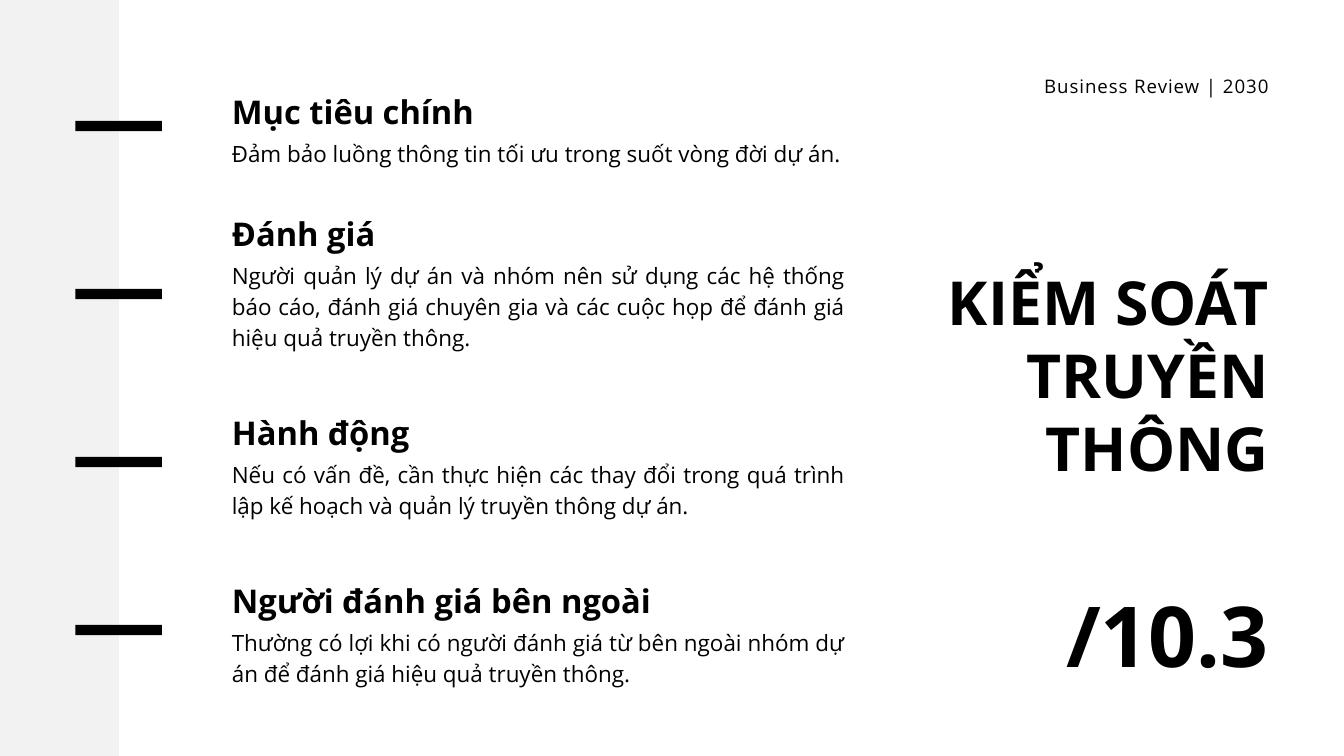
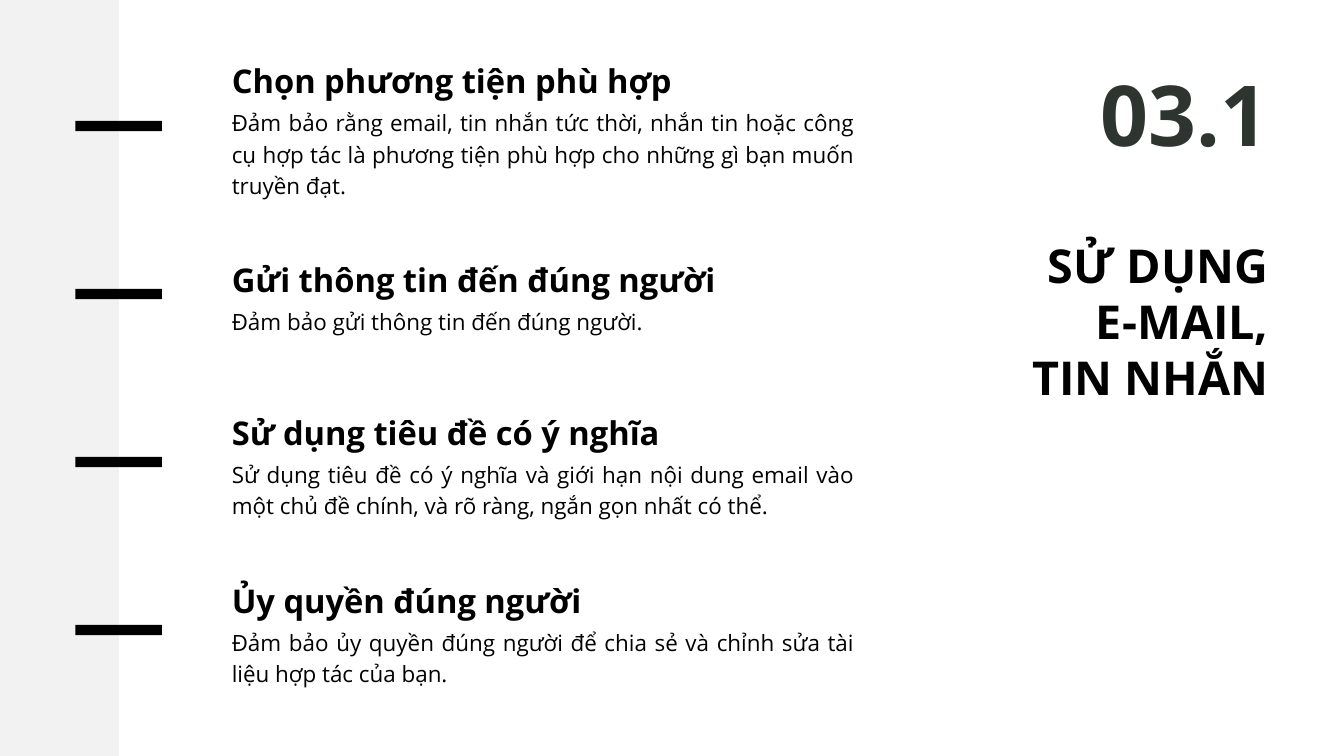
from dataclasses import dataclass

from lxml import etree
from pptx import Presentation
from pptx import util as u
from pptx.dml.color import RGBColor
from pptx.enum import shapes, text
from pptx.oxml import ns

PX = u.Inches(1) // 100
FONT = "Open Sans"
BLACK = RGBColor(0x00, 0x00, 0x00)
CHARCOAL = RGBColor(0x2E, 0x35, 0x31)
WHITE = RGBColor(0xFF, 0xFF, 0xFF)
LEFT, RIGHT, JUSTIFY = text.PP_ALIGN.LEFT, text.PP_ALIGN.RIGHT, text.PP_ALIGN.JUSTIFY

SLIDE_W, SLIDE_H = 2000, 1125
BAND_W = 177
MARK_X, MARK_Y, MARK_W, MARK_H = 112, 180, 129, 15
ITEM_X, ITEM_CENTER, ITEM_PITCH = 345, 185, 250
HEADING_H, BODY_OFFSET, LINE_H, LINE_TRIM = 62, 75, 46, 4


@dataclass(frozen=True)
class Box:
    x: int
    y: int
    w: int
    h: int

    def emu(self) -> tuple[int, int, int, int]:
        return self.x * PX, self.y * PX, self.w * PX, self.h * PX


@dataclass(frozen=True)
class Style:
    size: int
    leading: float
    bold: bool = True
    align: text.PP_ALIGN = RIGHT
    color: RGBColor = BLACK
    tracking: int = 0


@dataclass(frozen=True)
class Label:
    box: Box
    lines: tuple[str, ...]
    style: Style


@dataclass(frozen=True)
class Item:
    heading: str
    body: str
    rows: int
    align: text.PP_ALIGN = JUSTIFY


@dataclass(frozen=True)
class Page:
    title: Label
    labels: tuple[Label, ...]
    item_width: int
    items: tuple[Item, ...]


HEADING = Style(35, 49, align=LEFT)

PAGES = (
    Page(
        Label(Box(1271, 394, 617, 325), ("KIỂM SOÁT TRUYỀN THÔNG",), Style(65, 78)),
        (
            Label(Box(1552, 844, 336, 167), ("/10.3",), Style(90, 126)),
            Label(Box(1390, 111, 498, 34), ("Business Review | 2030",),
                  Style(20, 24, bold=False, tracking=1)),
        ),
        912,
        (
            Item("Mục tiêu chính",
                 "Đảm bảo luồng thông tin tối ưu trong suốt vòng đời dự án.", 1),
            Item("Đánh giá",
                 "Người quản lý dự án và nhóm nên sử dụng các hệ thống báo cáo, "
                 "đánh giá chuyên gia và các cuộc họp để đánh giá hiệu quả truyền thông.", 4),
            Item("Hành động",
                 "Nếu có vấn đề, cần thực hiện các thay đổi trong quá trình "
                 "lập kế hoạch và quản lý truyền thông dự án.", 2),
            Item("Người đánh giá bên ngoài",
                 "Thường có lợi khi có người đánh giá từ bên ngoài nhóm dự án "
                 "để đánh giá hiệu quả truyền thông.", 2),
        ),
    ),
    Page(
        Label(Box(1420, 353, 468, 251), ("SỬ DỤNG", "E-MAIL,", "TIN NHẮN"), Style(50, 60)),
        (
            Label(Box(1546, 68, 342, 167), ("03.1",), Style(90, 126, color=CHARCOAL)),
        ),
        926,
        (
            Item("Chọn phương tiện phù hợp",
                 "Đảm bảo rằng email, tin nhắn tức thời, nhắn tin hoặc công cụ hợp tác "
                 "là phương tiện phù hợp cho những gì bạn muốn truyền đạt.", 3),
            Item("Gửi thông tin đến đúng người",
                 "Đảm bảo gửi thông tin đến đúng người.", 1, LEFT),
            Item("Sử dụng tiêu đề có ý nghĩa",
                 "Sử dụng tiêu đề có ý nghĩa và giới hạn nội dung email vào "
                 "một chủ đề chính, và rõ ràng, ngắn gọn nhất có thể.", 2),
            Item("Ủy quyền đúng người",
                 "Đảm bảo ủy quyền đúng người để chia sẻ và chỉnh sửa "
                 "tài liệu hợp tác của bạn.", 2),
        ),
    ),
)


def write(sp, lines: tuple[str, ...], style: Style) -> None:
    tf = sp.text_frame
    tf.word_wrap = True
    tf.auto_size = text.MSO_AUTO_SIZE.NONE
    tf.vertical_anchor = text.MSO_ANCHOR.TOP
    tf.margin_left = tf.margin_top = tf.margin_right = tf.margin_bottom = 0
    for i, line in enumerate(lines):
        p = tf.add_paragraph() if i else tf.paragraphs[0]
        p.alignment = style.align
        p.line_spacing = u.Pt(style.leading)
        r = p.add_run()
        r.text = line
        r.font.name = FONT
        r.font.size = u.Pt(style.size)
        r.font.bold = style.bold
        r.font.color.rgb = style.color
        if style.tracking:
            r.font._element.set("spc", str(style.tracking * 100))


def add_label(parent, label: Label) -> None:
    write(parent.shapes.add_textbox(*label.box.emu()), label.lines, label.style)


def add_title(s, label: Label) -> None:
    sp = s.shapes.title
    sp.left, sp.top, sp.width, sp.height = label.box.emu()
    write(sp, label.lines, label.style)


def add_bar(s, box: Box, opacity: int = 100) -> None:
    sp = s.shapes.add_shape(shapes.MSO_SHAPE.RECTANGLE, *box.emu())
    sp.shadow.inherit = False
    sp.fill.solid()
    sp.fill.fore_color.rgb = BLACK
    sp.line.fill.background()
    if opacity < 100:
        color = sp._element.spPr.find(".//" + ns.qn("a:srgbClr"))
        etree.SubElement(color, ns.qn("a:alpha")).set("val", str(opacity * 1000))


def add_item(s, item: Item, index: int, width: int) -> None:
    body_h = item.rows * LINE_H - LINE_TRIM
    y = ITEM_CENTER + index * ITEM_PITCH - (BODY_OFFSET + body_h) // 2
    body_style = Style(24, 33.6, bold=False, align=item.align)
    group = s.shapes.add_group_shape()
    add_label(group, Label(Box(ITEM_X, y + BODY_OFFSET, width, body_h), (item.body,), body_style))
    add_label(group, Label(Box(ITEM_X, y, width, HEADING_H), (item.heading,), HEADING))


def add_page(prs, page: Page) -> None:
    s = prs.slides.add_slide(prs.slide_layouts.get_by_name("Title Only"))
    s.background.fill.solid()
    s.background.fill.fore_color.rgb = WHITE
    add_bar(s, Box(0, 0, BAND_W, SLIDE_H), opacity=5)
    add_title(s, page.title)
    for label in page.labels:
        add_label(s, label)
    for i, item in enumerate(page.items):
        add_bar(s, Box(MARK_X, MARK_Y + i * ITEM_PITCH, MARK_W, MARK_H))
        add_item(s, item, i, page.item_width)


def main() -> None:
    prs = Presentation()
    prs.slide_width, prs.slide_height = SLIDE_W * PX, SLIDE_H * PX
    for page in PAGES:
        add_page(prs, page)
    prs.save("out.pptx")


if __name__ == "__main__":
    main()
